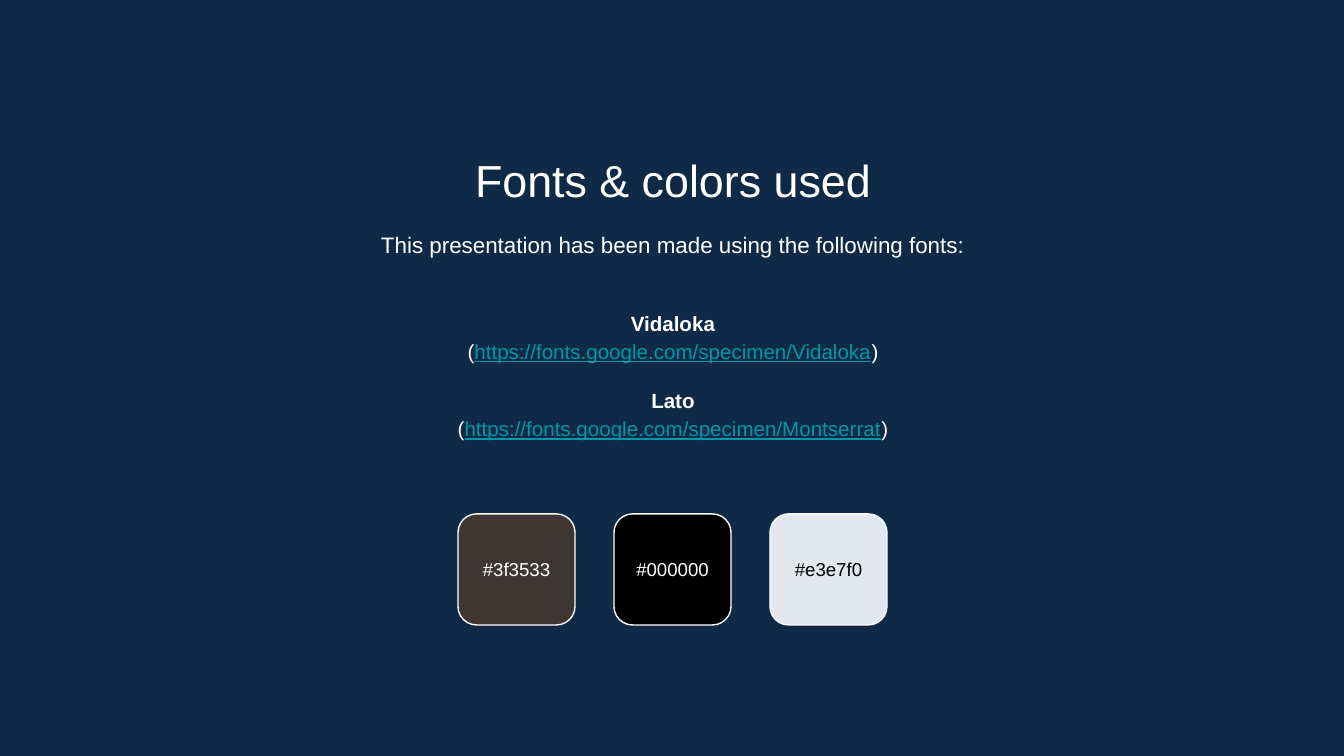
from dataclasses import dataclass

from pptx import Presentation
from pptx.dml.color import RGBColor
from pptx.enum.shapes import MSO_SHAPE
from pptx.enum.text import MSO_ANCHOR, PP_ALIGN
from pptx.util import Pt

EMU_PER_PX = 914400 / 134.4


@dataclass(frozen=True)
class Theme:
    font: str = "Arial"
    background: str = "0E2A47"
    light: str = "FFFFFF"
    dark: str = "000000"
    link: str = "0097A7"
    title_size: int = 24
    lead_size: int = 12
    body_size: int = 11
    label_size: int = 10


THEME = Theme()

FONTS = [
    ("Vidaloka", "https://fonts.google.com/specimen/Vidaloka"),
    ("Lato", "https://fonts.google.com/specimen/Montserrat"),
]
SWATCHES = [
    ("3f3533", THEME.light),
    ("000000", THEME.light),
    ("e3e7f0", THEME.dark),
]


def px(n):
    return round(n * EMU_PER_PX)


def rgb(color):
    return RGBColor.from_string(color.upper())


def set_frame(tf, anchor, wrap=True):
    tf.word_wrap = wrap
    tf.vertical_anchor = anchor
    tf.margin_left = tf.margin_right = tf.margin_top = tf.margin_bottom = px(13)


def style_run(r, size, color, bold=False, underline=False):
    r.font.name = THEME.font
    r.font.size = Pt(size)
    r.font.bold = bold
    r.font.underline = underline
    r.font.color.rgb = rgb(color)


def add_text_frame(slide, y, h, anchor=MSO_ANCHOR.TOP):
    tf = slide.shapes.add_textbox(px(155), px(y), px(1036), px(h)).text_frame
    set_frame(tf, anchor)
    return tf


def set_line(p, text, size, color=THEME.light, bold=False, spacing=1.0):
    p.text = text
    p.alignment = PP_ALIGN.CENTER
    p.line_spacing = spacing
    style_run(p.runs[0], size, color, bold)


def add_font_list(slide, y, h):
    tf = add_text_frame(slide, y, h, MSO_ANCHOR.MIDDLE)
    for i, (name, url) in enumerate(FONTS):
        p = tf.add_paragraph() if i else tf.paragraphs[0]
        set_line(p, name, THEME.body_size, bold=True, spacing=1.15)
        if i:
            p.space_before = Pt(11)
        p = tf.add_paragraph()
        set_line(p, "(", THEME.body_size, spacing=1.15)
        for text, color in ((url, THEME.link), (")", THEME.light)):
            r = p.add_run()
            r.text = text
            style_run(r, THEME.body_size, color, underline=text == url)


def add_swatch(slide, x, y, color, text_color):
    sp = slide.shapes.add_shape(
        MSO_SHAPE.ROUNDED_RECTANGLE, px(x), px(y), px(117), px(111))
    sp.shadow.inherit = False
    sp.fill.solid()
    sp.fill.fore_color.rgb = rgb(color)
    sp.line.color.rgb = rgb(THEME.light)
    sp.line.width = Pt(0.75)
    set_frame(sp.text_frame, MSO_ANCHOR.MIDDLE, wrap=False)
    set_line(sp.text_frame.paragraphs[0], f"#{color}", THEME.label_size, text_color)


def main():
    prs = Presentation()
    prs.slide_width, prs.slide_height = px(1344), px(756)
    slide = prs.slides.add_slide(prs.slide_layouts[6])
    slide.background.fill.solid()
    slide.background.fill.fore_color.rgb = rgb(THEME.background)

    title = add_text_frame(slide, 140, 71)
    set_line(title.paragraphs[0], "Fonts & colors used", THEME.title_size)
    lead = add_text_frame(slide, 214, 64)
    set_line(lead.paragraphs[0],
             "This presentation has been made using the following fonts:",
             THEME.lead_size, spacing=1.15)
    add_font_list(slide, 282, 184)
    for i, (color, text_color) in enumerate(SWATCHES):
        add_swatch(slide, 458 + 156 * i, 514, color, text_color)

    prs.save("out.pptx")


if __name__ == "__main__":
    main()
